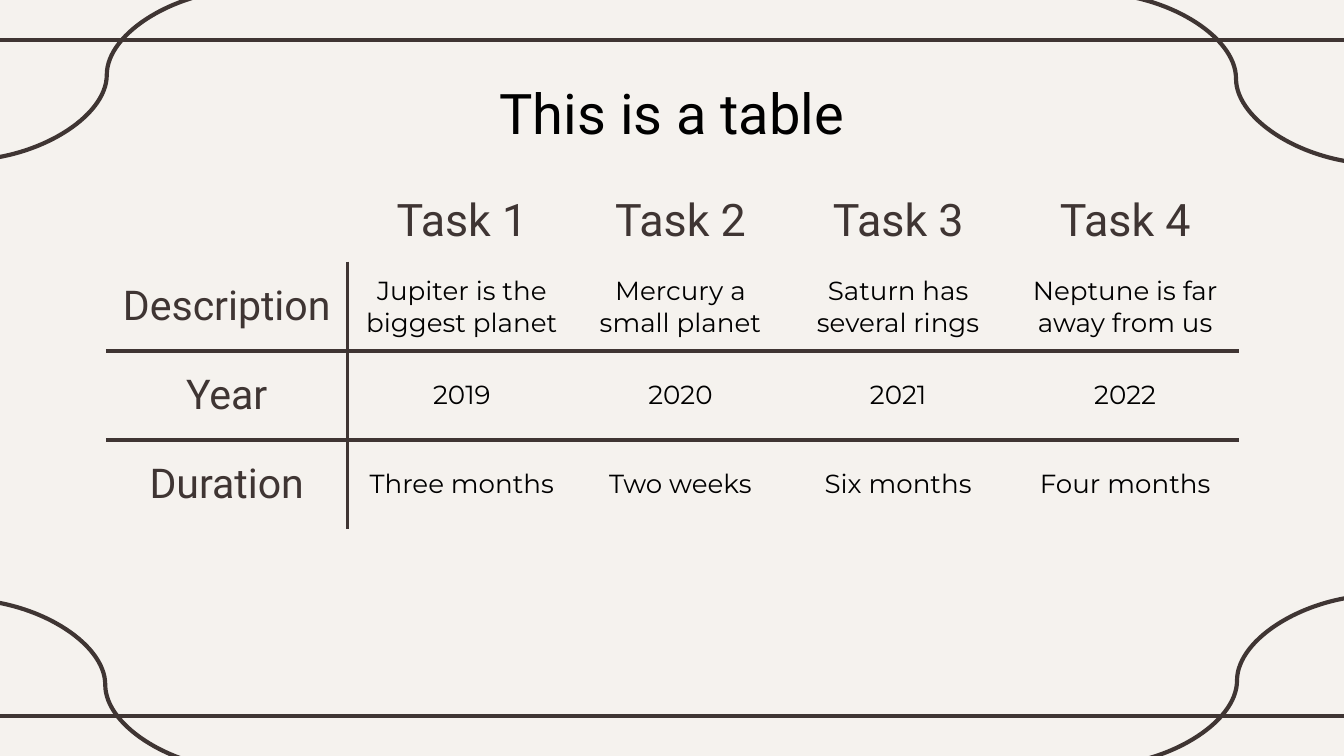
"""Build a slide with a task table framed by lines and curves."""
from dataclasses import dataclass

from lxml import etree
from pptx import Presentation
from pptx.dml.color import RGBColor
from pptx.enum import shapes, text
from pptx.oxml import ns
from pptx.util import Cm, Pt

COLORS = {"paper": "F5F2EE", "ink": "3F3533", "black": "000000"}
STROKE = Pt(2.25)


@dataclass(frozen=True)
class Stroke:
    kind: shapes.MSO_CONNECTOR
    x: float
    y: float
    dx: float
    dy: float


@dataclass(frozen=True)
class Style:
    font: str
    size: int
    color: str


TITLE = Style("Roboto", 30, "black")
TASK = Style("Roboto", 24, "ink")
ROW_LABEL = Style("Roboto", 22, "ink")
VALUE = Style("Montserrat", 14, "black")

RULES = [Stroke(shapes.MSO_CONNECTOR.STRAIGHT, -0.2, y, 25.8, 0) for y in (0.76, 13.54)]
CURVES = [
    Stroke(shapes.MSO_CONNECTOR.CURVE, x, y, dx, 3.23)
    for x, y, dx in (
        (-0.69, 11.33, 5.36),
        (20.68, -0.13, 5.36),
        (26.06, 11.25, -5.36),
        (4.7, -0.2, -5.36),
    )
]

TASKS = [
    ["", "Task 1", "Task 2", "Task 3", "Task 4"],
    ["Description", "Jupiter is the biggest planet", "Mercury a small planet",
     "Saturn has several rings", "Neptune is far away from us"],
    ["Year", "2019", "2020", "2021", "2022"],
    ["Duration", "Three months", "Two weeks", "Six months", "Four months"],
]
COLUMN_WIDTHS = [4.57, 4.32, 3.94, 4.29, 4.29]
ROW_HEIGHTS = [1.5, 1.68, 1.68, 1.68]


def rgb(name: str) -> RGBColor:
    return RGBColor.from_string(COLORS[name])


def draw_stroke(slide, stroke: Stroke) -> None:
    connector = slide.shapes.add_connector(
        stroke.kind, Cm(stroke.x), Cm(stroke.y),
        Cm(stroke.x + stroke.dx), Cm(stroke.y + stroke.dy))
    connector.line.color.rgb = rgb("ink")
    connector.line.width = STROKE
    etree.SubElement(connector._element.spPr, ns.qn("a:effectLst"))


def write(frame, words: str, style: Style) -> None:
    frame.text = words
    paragraph = frame.paragraphs[0]
    paragraph.alignment = text.PP_ALIGN.CENTER
    for run in paragraph.runs:
        run.font.name = style.font
        run.font.size = Pt(style.size)
        run.font.color.rgb = rgb(style.color)


def set_borders(cell, inked: dict[str, bool]) -> None:
    properties = cell._tc.get_or_add_tcPr()
    for index, (side, visible) in enumerate(inked.items()):
        border = etree.Element(ns.qn(f"a:ln{side}"), w=str(STROKE))
        if visible:
            fill = etree.SubElement(border, ns.qn("a:solidFill"))
            etree.SubElement(fill, ns.qn("a:srgbClr"), val=COLORS["ink"])
        else:
            etree.SubElement(border, ns.qn("a:noFill"))
        properties.insert(index, border)


def draw_title(slide, words: str) -> None:
    title = slide.shapes.add_textbox(Cm(1.98), Cm(1.24), Cm(21.44), Cm(1.6))
    frame = title.text_frame
    frame.word_wrap = True
    frame.margin_left = frame.margin_right = Cm(0.25)
    frame.margin_top = frame.margin_bottom = Cm(0.25)
    write(frame, words, TITLE)


def draw_tasks(slide) -> None:
    tasks = slide.shapes.add_table(
        len(ROW_HEIGHTS), len(COLUMN_WIDTHS), Cm(2), Cm(3.43),
        Cm(sum(COLUMN_WIDTHS)), Cm(sum(ROW_HEIGHTS))).table
    tasks.first_row = tasks.horz_banding = False
    for column, width in zip(tasks.columns, COLUMN_WIDTHS):
        column.width = Cm(width)
    last = len(TASKS) - 1
    for r, (row, height) in enumerate(zip(TASKS, ROW_HEIGHTS)):
        tasks.rows[r].height = Cm(height)
        for c, words in enumerate(row):
            cell = tasks.cell(r, c)
            cell.margin_left = cell.margin_right = Cm(0.25)
            cell.margin_top = cell.margin_bottom = Cm(0.25)
            cell.vertical_anchor = text.MSO_ANCHOR.MIDDLE
            cell.fill.background()
            write(cell.text_frame, words, TASK if r == 0 else ROW_LABEL if c == 0 else VALUE)
            set_borders(cell, {"L": r > 0 and c == 1, "R": r > 0 and c == 0,
                               "T": r > 1, "B": 0 < r < last})


def main() -> None:
    deck = Presentation()
    deck.slide_width, deck.slide_height = Cm(25.4), Cm(14.29)
    slide = deck.slides.add_slide(deck.slide_layouts[6])
    slide.background.fill.solid()
    slide.background.fill.fore_color.rgb = rgb("paper")
    for stroke in RULES + CURVES:
        draw_stroke(slide, stroke)
    draw_title(slide, "This is a table")
    draw_tasks(slide)
    deck.save("out.pptx")


if __name__ == "__main__":
    main()
